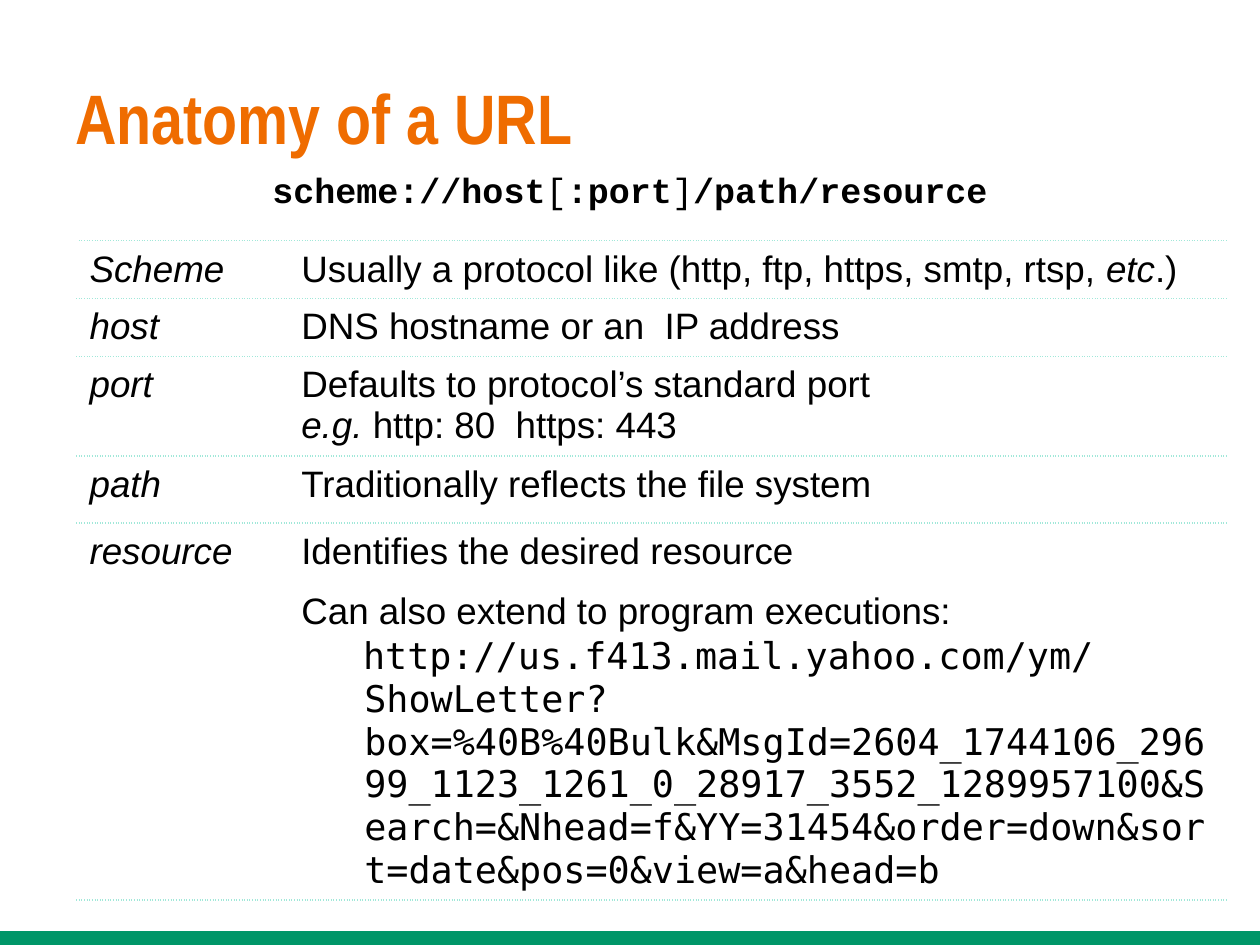
from lxml.etree import SubElement
from pptx import Presentation
from pptx.dml.color import RGBColor
from pptx.enum.shapes import MSO_CONNECTOR
from pptx.enum.text import MSO_ANCHOR, PP_ALIGN
from pptx.oxml import parse_xml
from pptx.oxml.ns import qn
from pptx.util import Pt

COLORS = {"title": "EF6C00", "text": "000000", "rule": "A1E8D9", "footer": "009668"}
DRAWING_NS = "http://schemas.openxmlformats.org/drawingml/2006/main"

SYNTAX = [("scheme://host", True), ("[", False), (":port", True),
          ("]", False), ("/path/resource", True)]
EXAMPLE_URL = ("http://us.f413.mail.yahoo.com/ym/ShowLetter?box=%40B%40Bulk"
               "&MsgId=2604_1744106_29699_1123_1261_0_28917_3552_1289957100"
               "&Search=&Nhead=f&YY=31454&order=down&sort=date&pos=0&view=a&head=b")

PARTS = [
    ("Scheme", 33.1, [
        ([("Usually a protocol like (http, ftp, https, smtp, rtsp, ", {}),
          ("etc", {"italic": True}), (".)", {})], {})]),
    ("host", 33.1, [([("DNS hostname or an  IP address", {})], {})]),
    ("port", 56.9, [
        ([("Defaults to protocol’s standard port\n", {}),
          ("e.g.", {"italic": True}), (" http: 80  https: 443", {})], {})]),
    ("path", 38.2, [([("Traditionally reflects the file system", {})], {})]),
    ("resource", 191.5, [
        ([("Identifies the desired resource", {})], {}),
        ([("Can also extend to program executions:", {})], {"before": 11}),
        ([(EXAMPLE_URL, {"font": "DejaVu Sans Mono"})],
         {"before": 2, "level": 1, "left": 36, "indent": -0.72})]),
]


def write(paragraph, text, font="Arial", size=21, color="text", bold=False, italic=False):
    words, *broken = text.split("\n")
    run = paragraph.add_run()
    run.text = words
    run.font.name = font
    run.font.size = Pt(size)
    run.font.bold = bold
    run.font.italic = italic
    run.font.color.rgb = RGBColor.from_string(COLORS[color])
    for _ in broken:
        paragraph.add_line_break()


def arrange(paragraph, before=0, level=0, left=0, indent=0, align=PP_ALIGN.LEFT):
    paragraph.level = level
    paragraph.alignment = align
    paragraph.space_before = Pt(before)
    properties = paragraph._p.get_or_add_pPr()
    properties.set("marL", str(Pt(left)))
    properties.set("indent", str(Pt(indent)))


class SlideBuilder:
    def __init__(self, slide):
        self.slide = slide

    def footer_line(self, y, width, weight):
        line = self.slide.shapes.add_connector(
            MSO_CONNECTOR.STRAIGHT, Pt(0), Pt(y), Pt(width), Pt(y))
        line.line.color.rgb = RGBColor.from_string(COLORS["footer"])
        line.line.width = Pt(weight)
        SubElement(line._element.spPr, qn("a:effectLst"))

    def title(self, text, left, top, width, height):
        heading = self.slide.shapes.title
        heading.left, heading.top = Pt(left), Pt(top)
        heading.width, heading.height = Pt(width), Pt(height)
        heading.text_frame.vertical_anchor = MSO_ANCHOR.MIDDLE
        paragraph = heading.text_frame.paragraphs[0]
        arrange(paragraph)
        write(paragraph, text, font="Arial Narrow", size=40, color="title", bold=True)

    def syntax(self, pieces, left, top, width, height):
        box = self.slide.shapes.add_textbox(Pt(left), Pt(top), Pt(width), Pt(height))
        box.text_frame.word_wrap = True
        paragraph = box.text_frame.paragraphs[0]
        arrange(paragraph, left=27, indent=-27, align=PP_ALIGN.CENTER)
        for text, bold in pieces:
            write(paragraph, text, font="Courier New", size=20, bold=bold)

    def cell(self, cell, paragraphs):
        cell.margin_top = cell.margin_bottom = Pt(4.7)
        cell.fill.background()
        for position, side in enumerate(("lnT", "lnB")):
            cell._tc.get_or_add_tcPr().insert(position, parse_xml(
                f'<a:{side} xmlns:a="{DRAWING_NS}" w="{Pt(1)}"><a:solidFill>'
                f'<a:srgbClr val="{COLORS["rule"]}"/></a:solidFill>'
                f'<a:prstDash val="sysDot"/></a:{side}>'))
        for number, (pieces, layout) in enumerate(paragraphs):
            frame = cell.text_frame
            paragraph = frame.add_paragraph() if number else frame.paragraphs[0]
            arrange(paragraph, **layout)
            for text, style in pieces:
                write(paragraph, text, **style)

    def parts_table(self, parts, left, top, widths):
        height = sum(row_height for _, row_height, _ in parts)
        table = self.slide.shapes.add_table(
            len(parts), len(widths), Pt(left), Pt(top), Pt(sum(widths)), Pt(height)).table
        table.first_row = table.horz_banding = False
        for column, width in zip(table.columns, widths):
            column.width = Pt(width)
        for row, (name, row_height, description) in zip(table.rows, parts):
            row.height = Pt(row_height)
            self.cell(row.cells[0], [([(name, {"italic": True})], {})])
            self.cell(row.cells[1], description)


def main():
    deck = Presentation()
    deck.slide_width, deck.slide_height = Pt(720), Pt(540)
    builder = SlideBuilder(deck.slides.add_slide(deck.slide_layouts[5]))
    builder.footer_line(537, 720, 10)
    builder.title("Anatomy of a URL", 36, 21.6, 648, 90)
    builder.parts_table(PARTS, 44, 137.5, (121, 536.4))
    builder.syntax(SYNTAX, 24, 93, 672, 45)
    deck.save("out.pptx")


if __name__ == "__main__":
    main()
